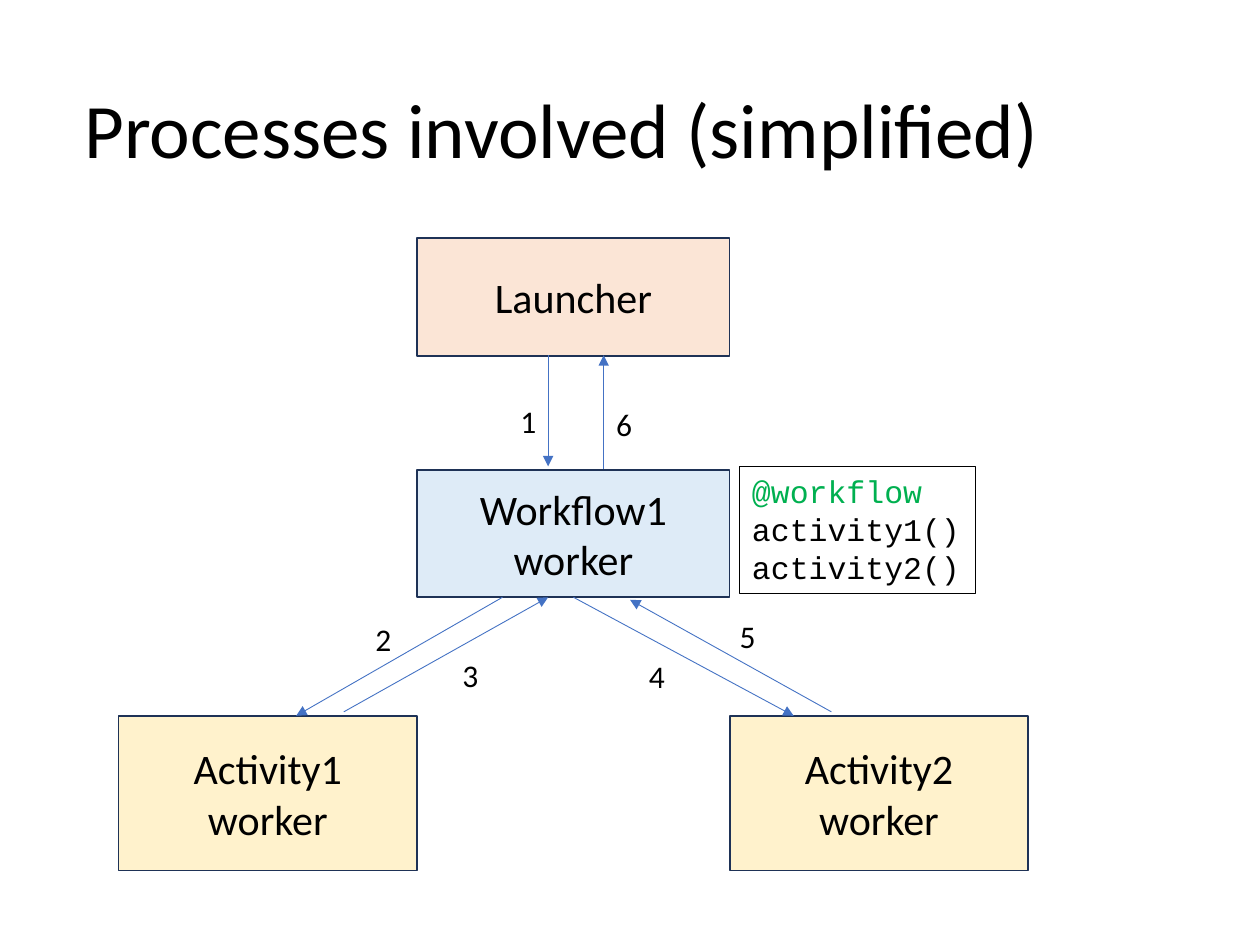
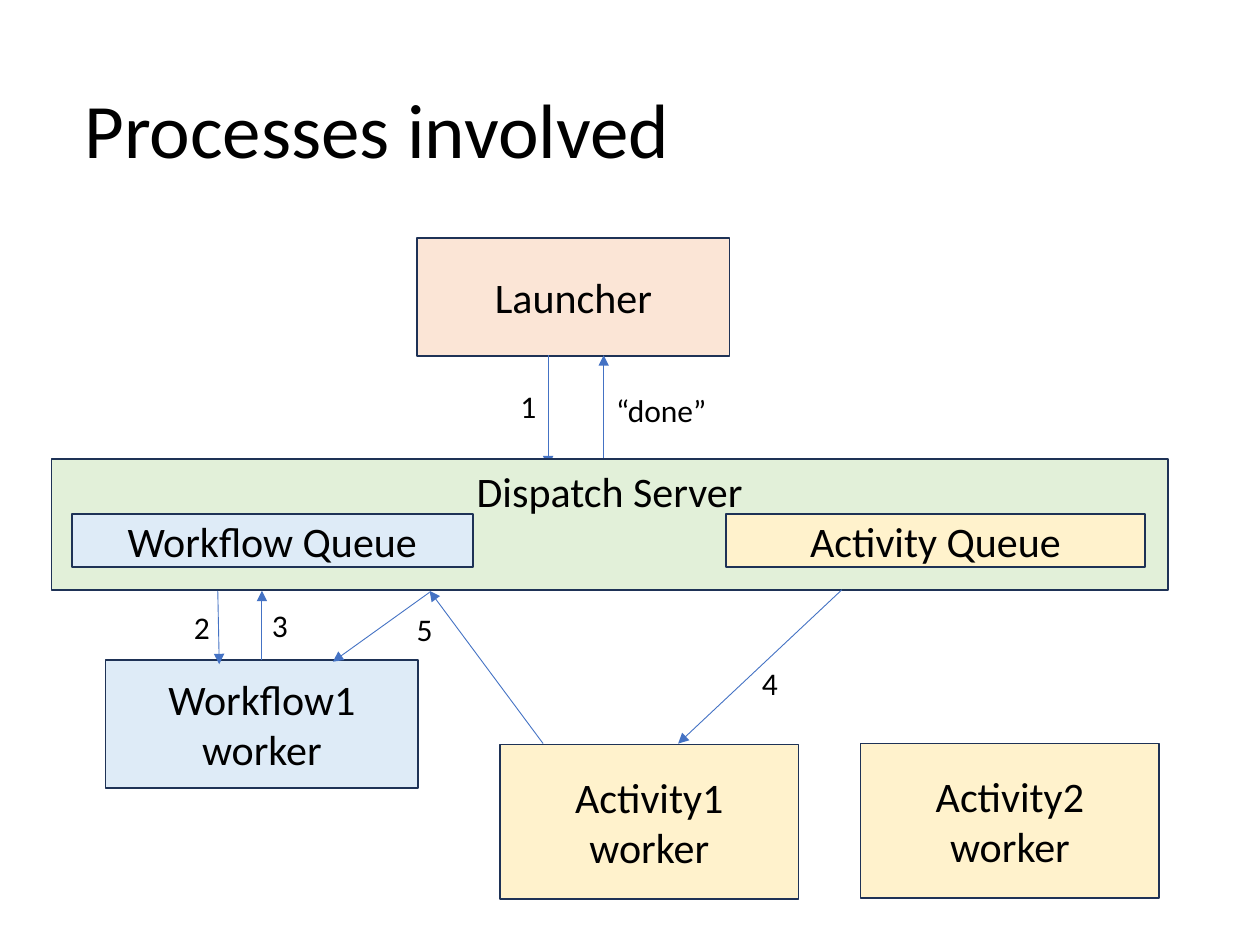
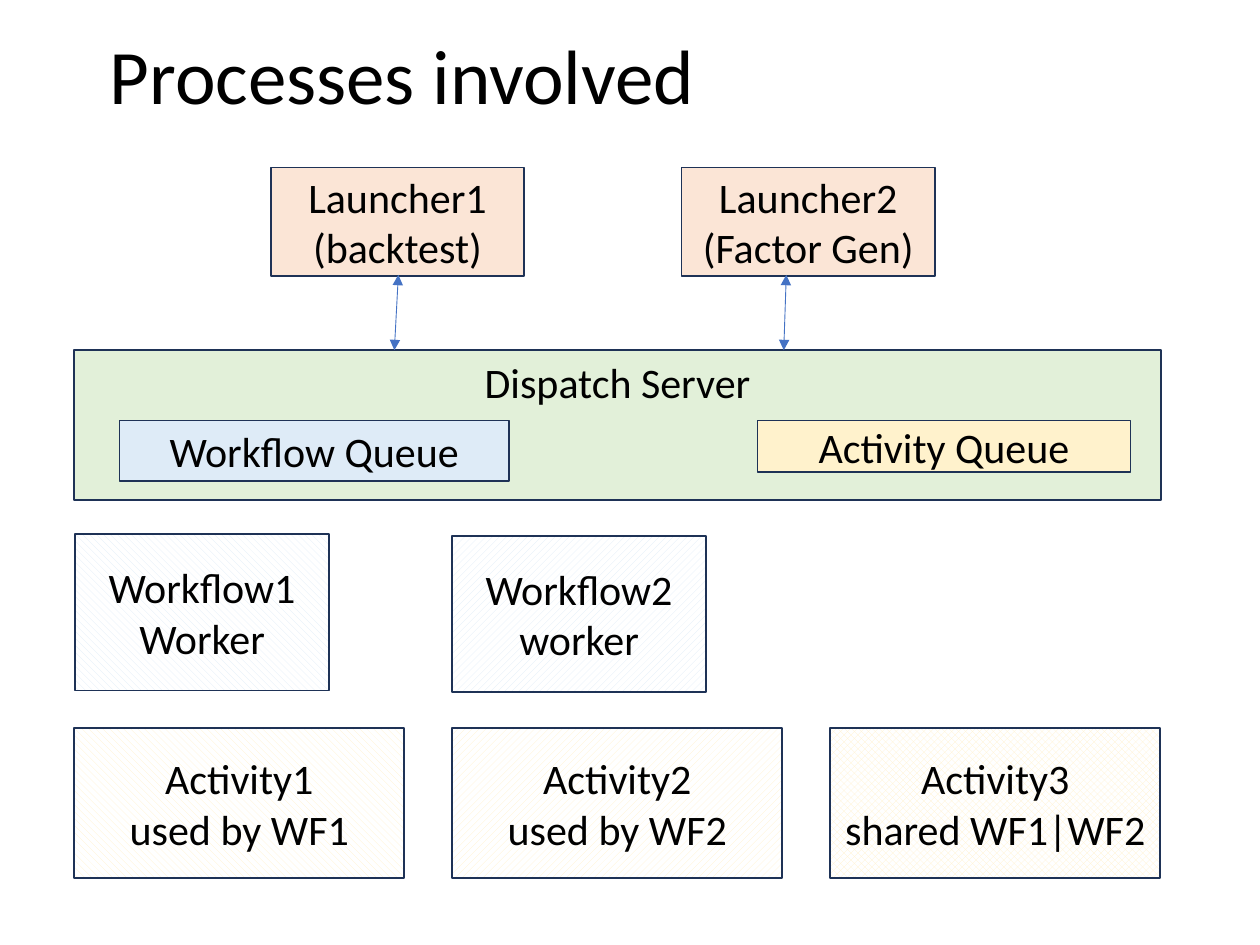
"""Build three slides that show the processes of a workflow system."""
import pptx
import pptx.dml.color
import pptx.enum.dml
import pptx.enum.shapes
import pptx.enum.text
import pptx.oxml
import pptx.oxml.ns
import pptx.util

Cm = pptx.util.Cm
Pt = pptx.util.Pt
ALIGN = pptx.enum.text.PP_ALIGN
ANCHOR = pptx.enum.text.MSO_ANCHOR
PATTERN = pptx.enum.dml.MSO_PATTERN

BLACK, WHITE, GREEN = "000000", "FFFFFF", "00B050"
PEACH, BLUE, YELLOW, MINT = "FBE5D6", "DEEBF7", "FFF2CC", "E2F0D9"
OUTLINE, ARROW = "1E3256", "4472C4"

TITLE_FONT = {"name": "Calibri", "size": Pt(44)}
BOX_FONT = {"name": "Calibri", "size": Pt(24)}
LABEL_FONT = {"name": "Calibri", "size": Pt(18)}
CODE_FONT = {"name": "Courier New", "size": Pt(18)}

LAUNCHER_SIZE = (6.3, 2.38)
WORKFLOW_SIZE = (6.3, 2.57)
ACTIVITY_SIZE = (6.02, 3.12)
WORKER_SIZE = (5.11, 3.15)


def color(value):
    """Return the colour for a hex string."""
    return pptx.dml.color.RGBColor.from_string(value)


def apply(target, formats):
    """Set each attribute named in a dict of format values."""
    for name, value in formats.items():
        setattr(target, name, value)


def style_text(frame, font, paragraph_format):
    """Format every paragraph and span of a text frame."""
    for para in frame.paragraphs:
        apply(para, paragraph_format)
        for span in para.runs:
            apply(span.font, font)
            span.font.color.rgb = color(BLACK)


def add_page(deck, title, place=(1.45, 1.65, 21.9, 2.08)):
    """Add a page with a left-aligned title."""
    page = deck.slides.add_slide(deck.slide_layouts[5])
    heading = page.shapes.title
    apply(heading, dict(zip(("left", "top", "width", "height"), map(Cm, place))))
    heading.text_frame.text = title
    apply(heading.text_frame, {"vertical_anchor": ANCHOR.MIDDLE, "word_wrap": True,
                               "auto_size": pptx.enum.text.MSO_AUTO_SIZE.NONE})
    style_text(heading.text_frame, TITLE_FONT,
               {"alignment": ALIGN.LEFT, "line_spacing": 0.9})
    return page


def add_box(page, text, left, top, size, fill, anchor=ANCHOR.MIDDLE, pattern=None):
    """Add an outlined box with a plain or patterned fill."""
    box = page.shapes.add_shape(pptx.enum.shapes.MSO_SHAPE.RECTANGLE,
                                Cm(left), Cm(top), *map(Cm, size))
    box.shadow.inherit = False
    if pattern is None:
        box.fill.solid()
    else:
        box.fill.patterned()
        box.fill.pattern = pattern
        box.fill.back_color.rgb = color(WHITE)
    box.fill.fore_color.rgb = color(fill)
    box.line.color.rgb = color(OUTLINE)
    box.line.width = Pt(1)
    box.text_frame.text = text
    apply(box.text_frame, {"vertical_anchor": anchor, "word_wrap": True})
    style_text(box.text_frame, BOX_FONT, {"alignment": ALIGN.CENTER})


def add_label(page, text, left, top, size=(0.84, 1.02), font=LABEL_FONT):
    """Add a text box and return it."""
    label = page.shapes.add_textbox(Cm(left), Cm(top), *map(Cm, size))
    label.text_frame.text = text
    label.text_frame.word_wrap = False
    style_text(label.text_frame, font, {"alignment": ALIGN.LEFT})
    return label


def add_code(page, text, left, top, size):
    """Add a framed code listing whose first line is green."""
    code = add_label(page, text, left, top, size, CODE_FONT)
    code.line.color.rgb = color(BLACK)
    code.line.width = Pt(0.75)
    code.text_frame.paragraphs[0].runs[0].font.color.rgb = color(GREEN)


def add_arrow(page, start, end, ends=("tailEnd",)):
    """Add a thin arrow with triangles at the named ends."""
    arrow = page.shapes.add_connector(pptx.enum.shapes.MSO_CONNECTOR.STRAIGHT,
                                      *map(Cm, start + end))
    arrow.line.color.rgb = color(ARROW)
    arrow.line.width = Pt(0.5)
    line = arrow.line._get_or_add_ln()
    for name in ends:
        pptx.oxml.ns.qn("a:" + name)
        line.append(pptx.oxml.parse_xml(
            f'<a:{name} {pptx.oxml.ns.nsdecls("a")} type="triangle"/>'))
    arrow._element.spPr.append(pptx.oxml.parse_xml(
        f'<a:effectLst {pptx.oxml.ns.nsdecls("a")}/>'))


def add_launcher(page):
    """Add the launcher and its pair of arrows."""
    add_box(page, "Launcher", 8.41, 4.8, LAUNCHER_SIZE, PEACH)
    add_arrow(page, (11.05, 7.16), (11.05, 9.4))
    add_arrow(page, (12.17, 9.47), (12.17, 7.16))


def add_server(page, top, left, size, queues):
    """Add the server band with its two queues."""
    add_box(page, "Dispatch Server", left, top, size, MINT, ANCHOR.TOP)
    for text, queue_left, queue_top, queue_size, fill in queues:
        add_box(page, text, queue_left, queue_top, queue_size, fill)


def build_simplified(deck):
    """Build the page with direct calls between processes."""
    page = add_page(deck, "Processes involved (simplified)")
    add_launcher(page)
    add_box(page, "Workflow1 worker", 8.41, 9.47, WORKFLOW_SIZE, BLUE)
    add_box(page, "Activity1 worker", 2.39, 14.43, ACTIVITY_SIZE, YELLOW)
    add_box(page, "Activity2 worker", 14.71, 14.43, ACTIVITY_SIZE, YELLOW)
    add_code(page, "@workflow\nactivity1()\nactivity2()", 14.91, 9.4, (4.75, 2.57))
    for start, end in (((10.13, 12.04), (5.97, 14.43)),
                       ((6.93, 14.35), (11.05, 12.04)),
                       ((11.56, 12.04), (16, 14.43)),
                       ((16.76, 14.35), (12.7, 12.09))):
        add_arrow(page, start, end)
    for text, left, top in (("1", 10.24, 7.98), ("2", 7.32, 12.37),
                            ("3", 9.07, 13.11), ("4", 12.83, 13.13),
                            ("5", 14.66, 12.32), ("6", 12.17, 8.05)):
        add_label(page, text, left, top)


def build_queued(deck):
    """Build the page where calls pass through the server."""
    page = add_page(deck, "Processes involved")
    add_launcher(page)
    add_box(page, "Workflow1 worker", 2.13, 13.31, WORKFLOW_SIZE, BLUE)
    add_box(page, "Activity1 worker", 10.08, 15.01, ACTIVITY_SIZE, YELLOW)
    add_box(page, "Activity2 worker", 17.35, 14.99, ACTIVITY_SIZE, YELLOW)
    add_server(page, 9.25, 1.04, (22.5, 2.64),
               (("Workflow Queue", 1.45, 10.36, (8.08, 1.07), BLUE),
                ("Activity Queue", 14.63, 10.36, (8.46, 1.07), YELLOW)))
    for start, end in (((4.39, 11.91), (4.42, 13.39)),
                       ((5.28, 13.31), (5.28, 11.91)),
                       ((8.66, 11.94), (6.71, 13.34)),
                       ((16.97, 11.89), (13.67, 14.99)),
                       ((10.95, 14.99), (8.66, 11.91))):
        add_arrow(page, start, end)
    for text, left, top in (("1", 10.24, 7.67), ("2", 3.66, 12.14),
                            ("3", 5.23, 12.09), ("4", 15.11, 13.26),
                            ("5", 8.15, 12.17)):
        add_label(page, text, left, top)
    add_label(page, "“done”", 12.17, 7.75, (2.36, 1.02))


def build_shared(deck):
    """Build the page with two workflows that share an activity."""
    page = add_page(deck, "Processes involved", (1.96, 0.38, 21.9, 2.46))
    add_server(page, 7.06, 1.5, (21.9, 3.02),
               (("Workflow Queue", 2.41, 8.48, (7.85, 1.22), BLUE),
                ("Activity Queue", 15.27, 8.48, (7.52, 1.04), YELLOW)))
    down, up = PATTERN.WIDE_DOWNWARD_DIAGONAL, PATTERN.WIDE_UPWARD_DIAGONAL
    add_box(page, "Workflow1\nWorker", 1.52, 10.77, WORKER_SIZE, BLUE, pattern=down)
    add_box(page, "Workflow2\nworker", 9.12, 10.8, WORKER_SIZE, BLUE, pattern=up)
    activities = (("Activity1\nused by WF1", down), ("Activity2\nused by WF2", up),
                  ("Activity3\nshared WF1|WF2", PATTERN.LARGE_CHECKER_BOARD))
    for column, (text, pattern) in enumerate(activities):
        add_box(page, text, 1.5 + 7.62 * column, 14.68, (6.65, 3.02), YELLOW,
                pattern=pattern)
    for text, left, start, end in (("Launcher1\n(backtest)", 5.46, 8.03, 7.95),
                                   ("Launcher2\n(Factor Gen)", 13.74, 15.85, 15.8)):
        add_box(page, text, left, 3.38, (5.11, 2.18), PEACH)
        add_arrow(page, (start, 5.54), (end, 7.06), ("headEnd", "tailEnd"))


def main():
    """Build the deck and save it."""
    deck = pptx.Presentation()
    apply(deck, {"slide_width": Cm(25.4), "slide_height": Cm(19.05)})
    for build in (build_simplified, build_queued, build_shared):
        build(deck)
    deck.save("out.pptx")


if __name__ == "__main__":
    main()
